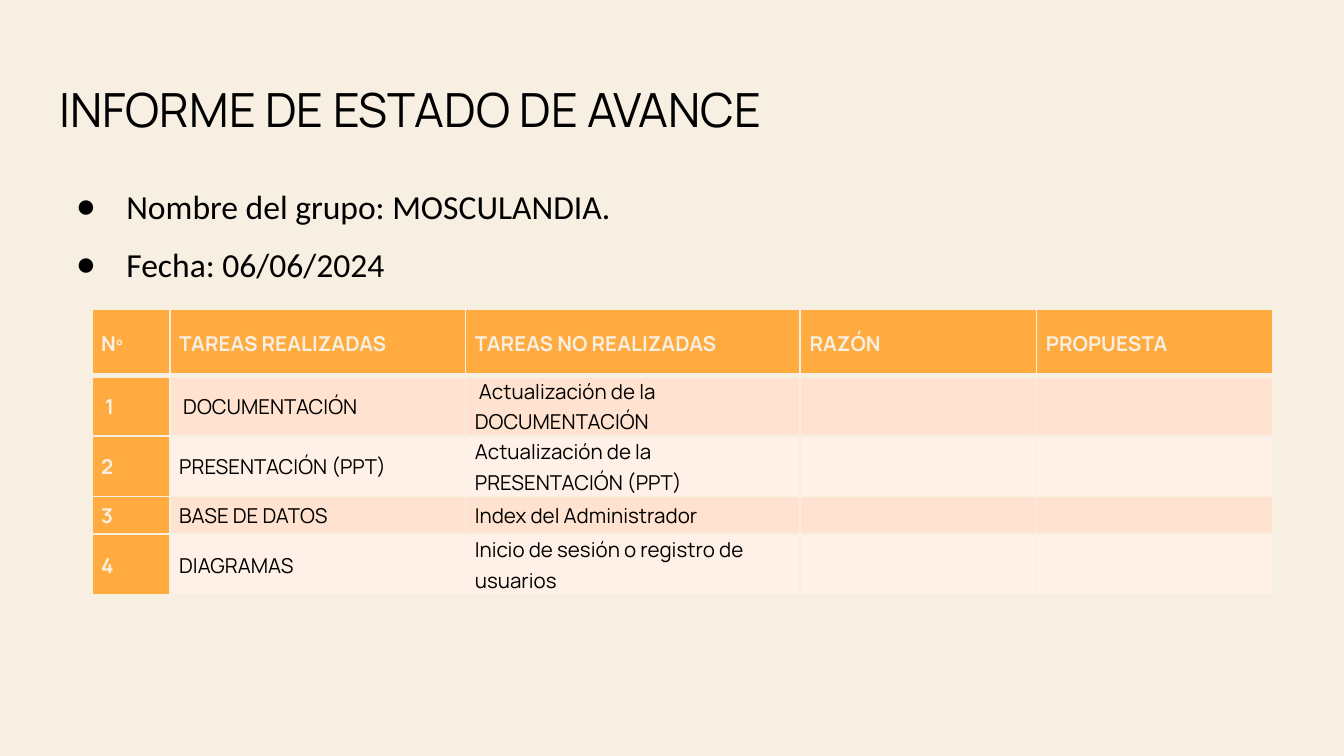
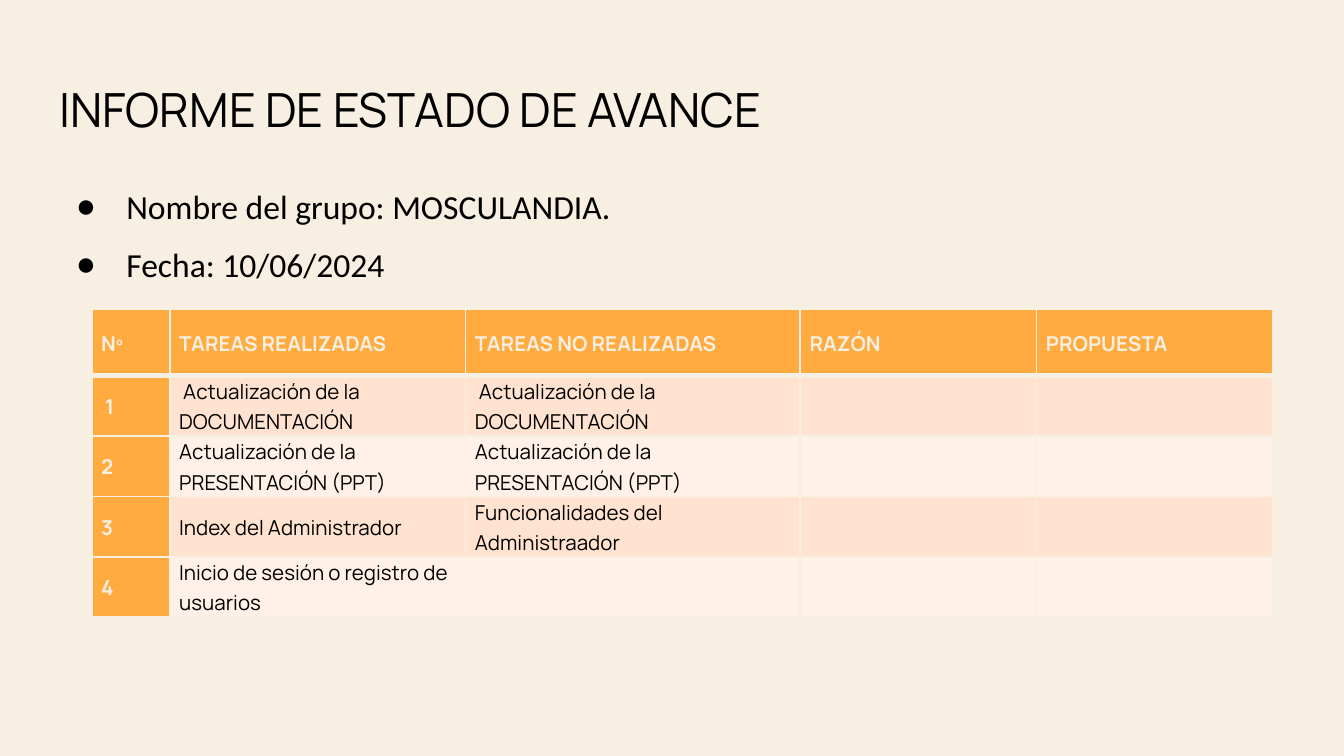
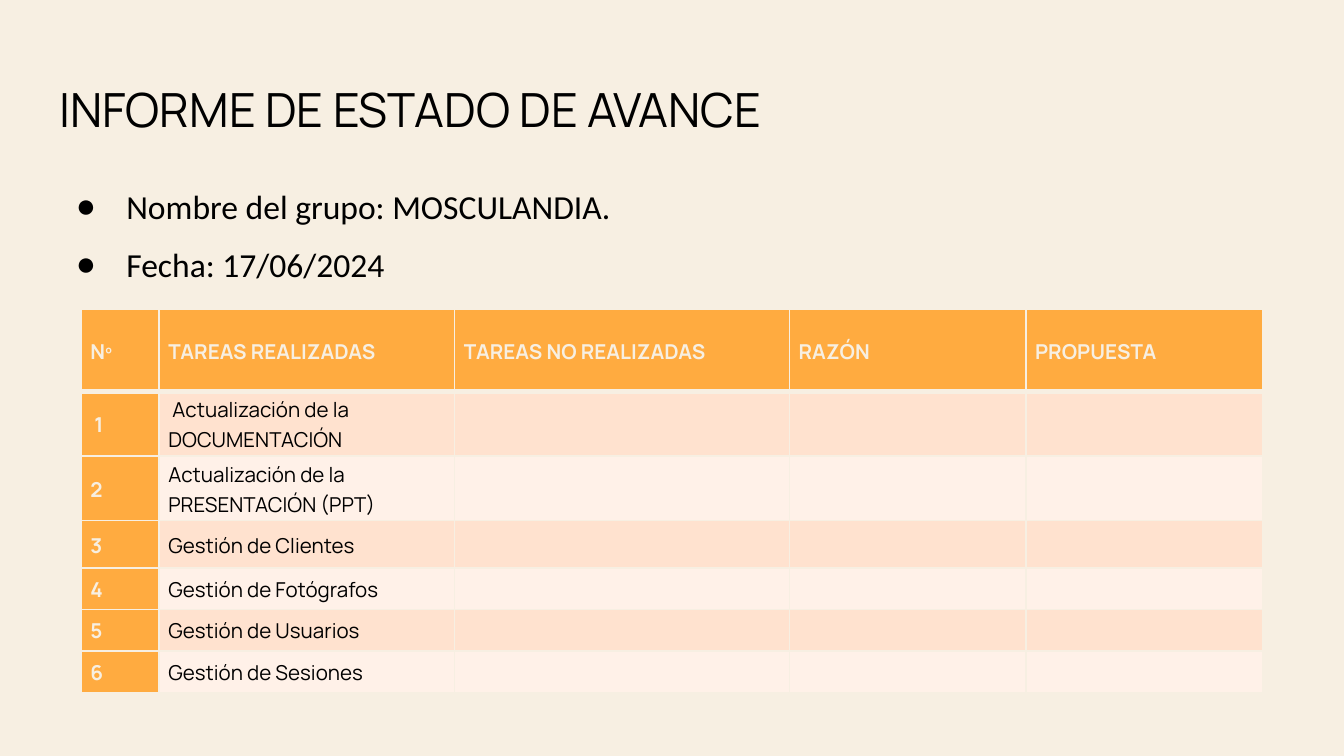
from typing import NamedTuple

from lxml.etree import SubElement
from pptx import Presentation
from pptx.dml.color import RGBColor
from pptx.enum.text import MSO_ANCHOR, MSO_AUTO_SIZE, PP_ALIGN
from pptx.oxml.ns import qn
from pptx.util import Pt

# Shared look
COLORS = {
    "page": "F7EFE2",
    "text": "000000",
    "head": "FFAB40",
    "odd": "FFE2CF",
    "even": "FFF1E8",
}
SANS, BODY = "Manrope", "Calibri"
TITLE = "INFORME DE ESTADO DE AVANCE"
GROUP = "Nombre del grupo: MOSCULANDIA."
HEADS = ("Nº", "TAREAS REALIZADAS", "TAREAS NO REALIZADAS", "RAZÓN", "PROPUESTA")
WIDTHS = (41.8, 158.4, 179.3, 126.7, 126.7)
TOP = 165.8
CELL_SIZE = 11
SPACING = 1.07

# Tasks named in more than one report
DOCS = " Actualización de la DOCUMENTACIÓN"
SLIDES = "Actualización de la PRESENTACIÓN (PPT)"
INDEX = "Index del Administrador"
LOGIN = "Inicio de sesión o registro de usuarios"


class Task(NamedTuple):
    done: str
    todo: str = ""


class Report(NamedTuple):
    date: str
    left: float
    heights: tuple[float, ...]
    tasks: tuple[Task, ...]


SHORT = (35.3, 24.5, 20.2, 20.2, 18)
TALL = (44, 34.6, 34.6, 25.2, 22.3, 22.3, 22.3)

REPORTS = (
    Report("06/06/2024", 49.2, SHORT, (
        Task(" DOCUMENTACIÓN", DOCS),
        Task("PRESENTACIÓN (PPT)", SLIDES),
        Task("BASE DE DATOS", INDEX),
        Task("DIAGRAMAS", LOGIN),
    )),
    Report("10/06/2024", 49.2, SHORT, (
        Task(DOCS, DOCS),
        Task(SLIDES, SLIDES),
        Task(INDEX, "Funcionalidades del Administraador"),
        Task(LOGIN),
    )),
    Report("17/06/2024", 43.4, TALL, (
        Task(DOCS),
        Task(SLIDES),
        Task("Gestión de Clientes"),
        Task("Gestión de Fotógrafos"),
        Task("Gestión de Usuarios"),
        Task("Gestión de Sesiones"),
    )),
)


def color(name: str) -> RGBColor:
    return RGBColor.from_string(COLORS[name])


def add_run(para, text: str, size: float, face: str, ink: str = "text",
            bold: bool = False) -> None:
    run = para.add_run()
    run.text = text
    font = run.font
    font.size, font.name, font.bold = Pt(size), face, bold
    font.color.rgb = color(ink)


def place(shape, top: float, height: float, anchor: MSO_ANCHOR):
    """Move a placeholder and give its text frame even margins."""
    shape.left, shape.top = Pt(24.5), Pt(top)
    shape.width, shape.height = Pt(671), Pt(height)
    frame = shape.text_frame
    frame.margin_left = frame.margin_right = Pt(7.2)
    frame.margin_top = frame.margin_bottom = Pt(7.2)
    frame.word_wrap = True
    frame.auto_size = MSO_AUTO_SIZE.NONE
    frame.vertical_anchor = anchor
    return frame


def add_title(slide) -> None:
    frame = place(slide.shapes.title, 35.3, 45.4, MSO_ANCHOR.MIDDLE)
    para = frame.paragraphs[0]
    para.alignment = PP_ALIGN.LEFT
    add_run(para, TITLE, 25.2, SANS)


def add_list(slide, lines: tuple[str, ...]) -> None:
    frame = place(slide.placeholders[1], 90.7, 269.3, MSO_ANCHOR.TOP)
    for pos, line in enumerate(lines):
        para = frame.add_paragraph() if pos else frame.paragraphs[0]
        para.line_spacing = SPACING
        para.space_before, para.space_after = Pt(0), Pt(8)
        props = para._p.get_or_add_pPr()
        props.set("marL", str(Pt(36)))
        props.set("indent", str(Pt(-27)))
        tint = SubElement(props, qn("a:buClr"))
        SubElement(tint, qn("a:srgbClr"), val=COLORS["text"])
        SubElement(props, qn("a:buChar"), char="●")
        add_run(para, line, 18, BODY)


def add_edges(cell, top: float, bottom: float) -> None:
    props = cell._tc.get_or_add_tcPr()
    for side, width in (("L", 1), ("R", 1), ("T", top), ("B", bottom)):
        line = SubElement(props, qn(f"a:ln{side}"), w=str(Pt(width)))
        fill = SubElement(line, qn("a:solidFill"))
        SubElement(fill, qn("a:srgbClr"), val=COLORS["page"])


def fill_cell(cell, text: str, row: int, col: int) -> None:
    label = row == 0 or col == 0
    add_edges(cell, 3 if row == 1 else 1, 3 if row == 0 else 1)
    cell.fill.solid()
    cell.fill.fore_color.rgb = color(
        "head" if label else "odd" if row % 2 else "even")
    cell.margin_left = cell.margin_right = Pt(5)
    cell.margin_top = cell.margin_bottom = Pt(0)
    cell.vertical_anchor = MSO_ANCHOR.MIDDLE
    para = cell.text_frame.paragraphs[0]
    para.line_spacing = SPACING
    if text:
        add_run(para, text, CELL_SIZE, SANS, "page" if label else "text", label)
    else:
        # Keep empty cells from stretching their row
        SubElement(para._p, qn("a:endParaRPr"), sz=str(CELL_SIZE * 100))


def add_grid(slide, report: Report) -> None:
    rows = [HEADS]
    for num, task in enumerate(report.tasks, 1):
        mark = " 1" if num == 1 else str(num)
        rows.append((mark, task.done, task.todo, "", ""))
    table = slide.shapes.add_table(
        len(rows), len(HEADS), Pt(report.left), Pt(TOP),
        Pt(sum(WIDTHS)), Pt(sum(report.heights))).table
    table.first_row = table.horz_banding = False
    for col, width in enumerate(WIDTHS):
        table.columns[col].width = Pt(width)
    for row, height in enumerate(report.heights):
        table.rows[row].height = Pt(height)
        for col, text in enumerate(rows[row]):
            fill_cell(table.cell(row, col), text, row, col)


def main() -> None:
    deck = Presentation()
    deck.slide_width, deck.slide_height = Pt(720), Pt(405)
    back = deck.slide_master.background.fill
    back.solid()
    back.fore_color.rgb = color("page")
    for report in REPORTS:
        slide = deck.slides.add_slide(deck.slide_layouts[1])
        add_title(slide)
        add_list(slide, (GROUP, f"Fecha: {report.date}"))
        add_grid(slide, report)
    deck.save("out.pptx")


if __name__ == "__main__":
    main()
